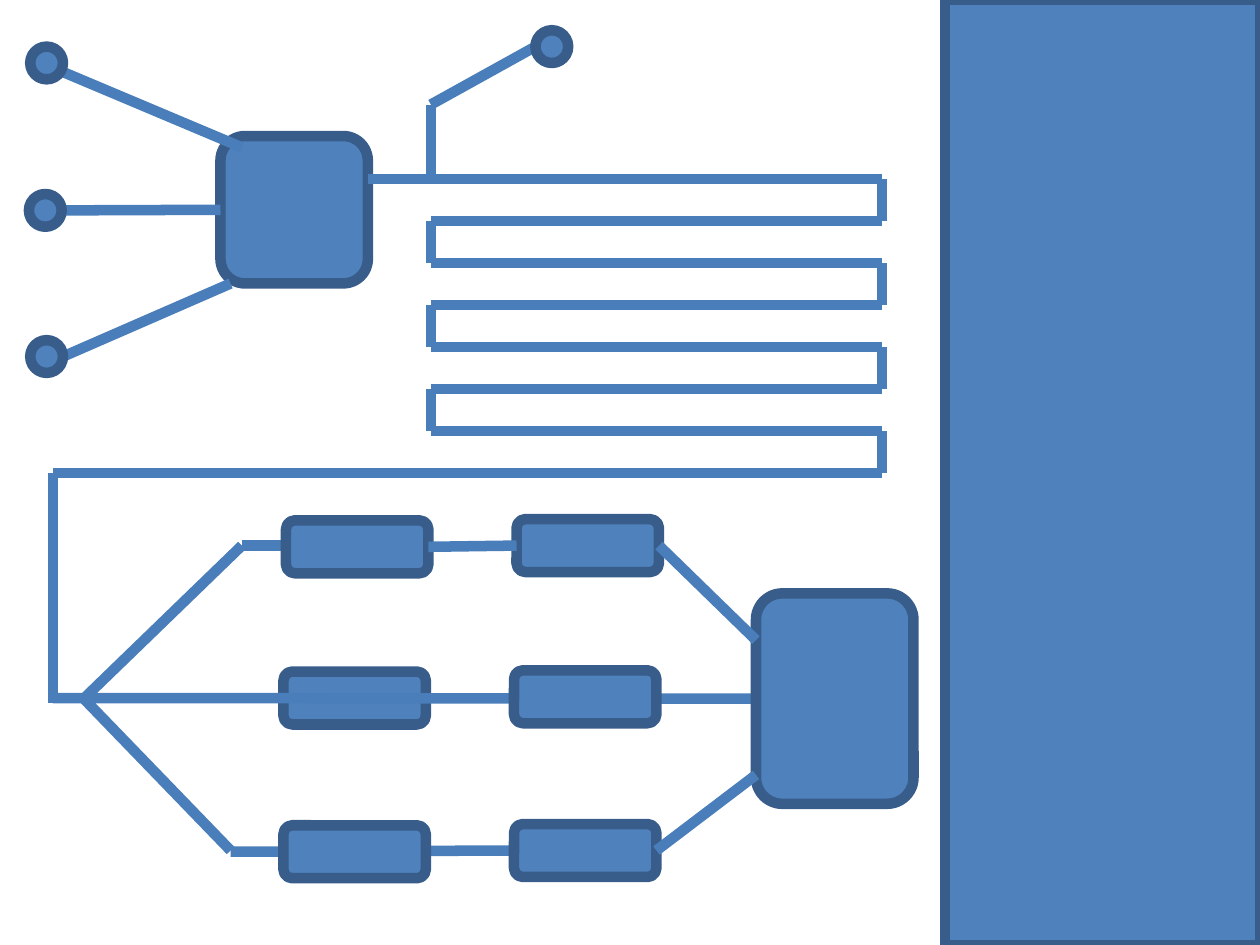
from lxml import etree
from pptx import Presentation
from pptx import util as u
from pptx.dml.color import RGBColor
from pptx.enum import shapes
from pptx.oxml.ns import qn

FILL, EDGE, CHANNEL = "4F81BD", "385D8A", "4A7EBB"
LEFT, RIGHT = 1, 3  # connection sites

prs = Presentation()
prs.slide_width, prs.slide_height = u.Inches(10), u.Inches(7.5)
slide = prs.slides.add_slide(prs.slide_layouts[6])


def add_part(kind, left, top, width, height):
    part = slide.shapes.add_shape(kind, *map(u.Inches, (left, top, width, height)))
    part.shadow.inherit = False
    part.fill.solid()
    part.fill.fore_color.rgb = RGBColor.from_string(FILL)
    part.line.color.rgb = RGBColor.from_string(EDGE)
    part.line.width = u.Pt(6)
    return part


def add_channel(x1, y1, x2, y2):
    channel = slide.shapes.add_connector(
        shapes.MSO_CONNECTOR.STRAIGHT, *map(u.Inches, (x1, y1, x2, y2)))
    channel.line.color.rgb = RGBColor.from_string(CHANNEL)
    channel.line.width = u.Pt(6)
    etree.SubElement(channel._element.spPr, qn("a:effectLst"))
    return channel


BOX = shapes.MSO_SHAPE.ROUNDED_RECTANGLE
PORT = shapes.MSO_SHAPE.OVAL

# Side panel and mixing chamber
add_part(shapes.MSO_SHAPE.RECTANGLE, 7.5, 0, 2.5, 7.5)
mixer = add_part(BOX, 1.75, 1.08, 1.17, 1.17)

# Three inlets feeding the mixer
add_channel(0.33, 0.5, 1.92, 1.17)
middle_inlet = add_channel(0.49, 1.67, 1.75, 1.67)
middle_inlet.end_connect(mixer, LEFT)
add_channel(0.5, 2.83, 1.83, 2.25)

# Side inlet joining the serpentine
add_channel(3.42, 1.42, 3.42, 0.83)
add_channel(3.42, 0.83, 4.25, 0.37)

# Ports
for left, top in [(0.23, 1.54), (0.24, 0.37), (0.24, 2.7), (4.25, 0.24)]:
    add_part(PORT, left, top, 0.26, 0.26)

# Serpentine: eight levels, joined by turns on alternating sides
near, far, pitch = 3.42, 7, 1 / 3
starts = [2.92] + [near] * 6 + [0.42]
for level, start in enumerate(starts):
    y = 1.42 + level * pitch
    add_channel(start, y, far, y)
    if level < len(starts) - 1:
        turn = near if level % 2 else far
        add_channel(turn, y, turn, y + pitch)

# Way down from the serpentine and split into three branches
add_channel(0.42, 3.75, 0.42, 5.58)
add_channel(0.67, 5.54, 1.92, 4.33)
add_channel(0.67, 5.55, 1.83, 6.75)
add_channel(1.92, 4.33, 3.08, 4.33)
bottom_feed = add_channel(1.83, 6.76, 4.08, 6.75)

# Reaction chambers, first and second in each branch
first_top, first_bottom, first_middle = [
    add_part(BOX, left, top, 1.13, 0.42)
    for left, top in [(2.27, 4.13), (2.25, 6.55), (2.25, 5.33)]]
middle_feed = add_channel(0.42, 5.54, 6, 5.54)
second_top, second_bottom, second_middle = [
    add_part(BOX, left, top, 1.13, 0.42)
    for left, top in [(4.1, 4.12), (4.08, 6.54), (4.08, 5.32)]]
bottom_feed.end_connect(second_bottom, LEFT)

# Collector with its three feeds
collector = add_part(BOX, 6, 4.71, 1.25, 1.67)
middle_feed.end_connect(collector, LEFT)
top_link = add_channel(3.4, 4.33, 4.1, 4.32)
top_link.begin_connect(first_top, RIGHT)
top_link.end_connect(second_top, LEFT)
top_outlet = add_channel(5.23, 4.32, 6, 5.08)
top_outlet.begin_connect(second_top, RIGHT)
bottom_outlet = add_channel(5.21, 6.75, 6, 6.15)
bottom_outlet.begin_connect(second_bottom, RIGHT)

prs.save("out.pptx")
